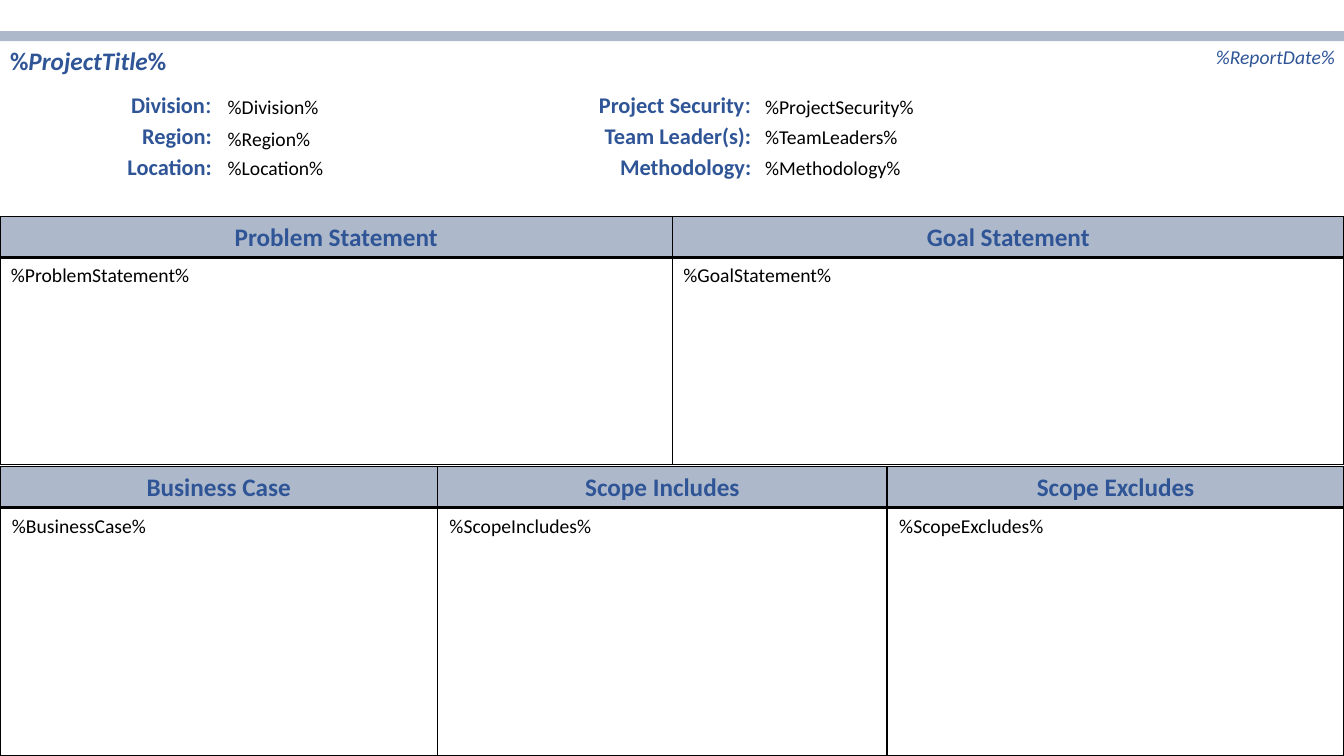
"""Build the project charter slide with its header fields and statement panels."""
from pptx import Presentation
from pptx.dml.color import RGBColor
from pptx.enum.shapes import MSO_SHAPE
from pptx.enum.text import MSO_ANCHOR, PP_ALIGN
from pptx.util import Inches, Pt

BLUE = RGBColor(0x2F, 0x55, 0x97)
GREY = RGBColor(0xAD, 0xB9, 0xCA)
BLACK = RGBColor(0, 0, 0)
WIDTH = 13.33

prs = Presentation()
prs.slide_width, prs.slide_height = Inches(WIDTH), Inches(7.5)
s = prs.slides.add_slide(prs.slide_layouts[5])


def add_rect(x, y, w, h, fill=None, outlined=True):
    sp = s.shapes.add_shape(MSO_SHAPE.RECTANGLE, Inches(x), Inches(y), Inches(w), Inches(h))
    sp.shadow.inherit = False
    if fill is None:
        sp.fill.background()
    else:
        sp.fill.solid()
        sp.fill.fore_color.rgb = fill
    if outlined:
        sp.line.color.rgb = BLACK
        sp.line.width = Pt(1)
    else:
        sp.line.fill.background()
    return sp


def write(sp, runs, align=PP_ALIGN.LEFT, color=BLACK, new=False):
    tf = sp.text_frame
    tf.word_wrap = True
    p = tf.add_paragraph() if new else tf.paragraphs[0]
    p.alignment = align
    for text, size, bold, italic in runs:
        r = p.add_run()
        r.text = text
        r.font.name = "Calibri"
        r.font.size = Pt(size)
        r.font.bold = bold
        r.font.italic = italic
        r.font.color.rgb = color
    return p


add_rect(0, 0.31, WIDTH, 0.1, GREY, outlined=False)

title = s.shapes.title
title.left, title.top, title.width, title.height = 0, Inches(0.4), Inches(9.34), Inches(0.4)
title.text_frame.vertical_anchor = MSO_ANCHOR.TOP
write(title, [("%", 18, True, False), ("ProjectTitle", 18, True, True), ("%", 18, True, False)],
      color=BLUE)

sp = s.shapes.add_textbox(Inches(9.6), Inches(0.4), Inches(3.74), Inches(0.34))
write(sp, [("%ReportDate%", 14, False, True)], PP_ALIGN.RIGHT, BLUE)

panel_rows = [
    (2.15, 2.05, 0.01, [0, 6.67, WIDTH],
     [("Problem Statement", "%ProblemStatement%"), ("Goal Statement", "%GoalStatement%")]),
    (4.63, 2.46, 0.02, [0, 4.34, 8.8, WIDTH],
     [("Business Case", "%BusinessCase%"), ("Scope Includes", "%ScopeIncludes%"),
      ("Scope Excludes", "%ScopeExcludes%")]),
]
for top, body_height, offset, edges, panels in panel_rows:
    for left, right, (heading, body) in zip(edges, edges[1:], panels):
        width = right - left
        sp = add_rect(left, top, width, 0.4, GREY)
        sp.text_frame.vertical_anchor = MSO_ANCHOR.MIDDLE
        write(sp, [(heading, 18, True, False)], PP_ALIGN.CENTER, BLUE)
        add_rect(left, top + 0.41, width, body_height)
        sp = s.shapes.add_textbox(Inches(left + offset), Inches(top + 0.4 + offset),
                                  Inches(width - offset), Inches(0.34))
        write(sp, [(body, 14, False, False)])

field_groups = [
    (1.1, 2.2, 2.16, [("Division", "%Division%", 0.89), ("Region", "%Region%", 1.21),
                      ("Location", "%Location%", 1.5)]),
    (5.81, 7.55, 7.49, [("Project Security", "%ProjectSecurity%", 0.89),
                        ("Team Leader(s)", "%TeamLeaders%", 1.19),
                        ("Methodology", "%Methodology%", 1.5)]),
]
for left, right, value_left, fields in field_groups:
    labels = s.shapes.add_textbox(Inches(left), Inches(0.83), Inches(right - left), Inches(1.01))
    for i, (label, value, top) in enumerate(fields):
        colon = (":", 16, True, False) if i else (":", 18, False, False)
        p = write(labels, [(label, 16, True, False), colon], PP_ALIGN.RIGHT, BLUE, new=i > 0)
        p.line_spacing = Pt(21.7)
        sp = s.shapes.add_textbox(Inches(value_left), Inches(top), Inches(4.6), Inches(0.34))
        write(sp, [(value, 14, False, False)])

prs.save("out.pptx")
